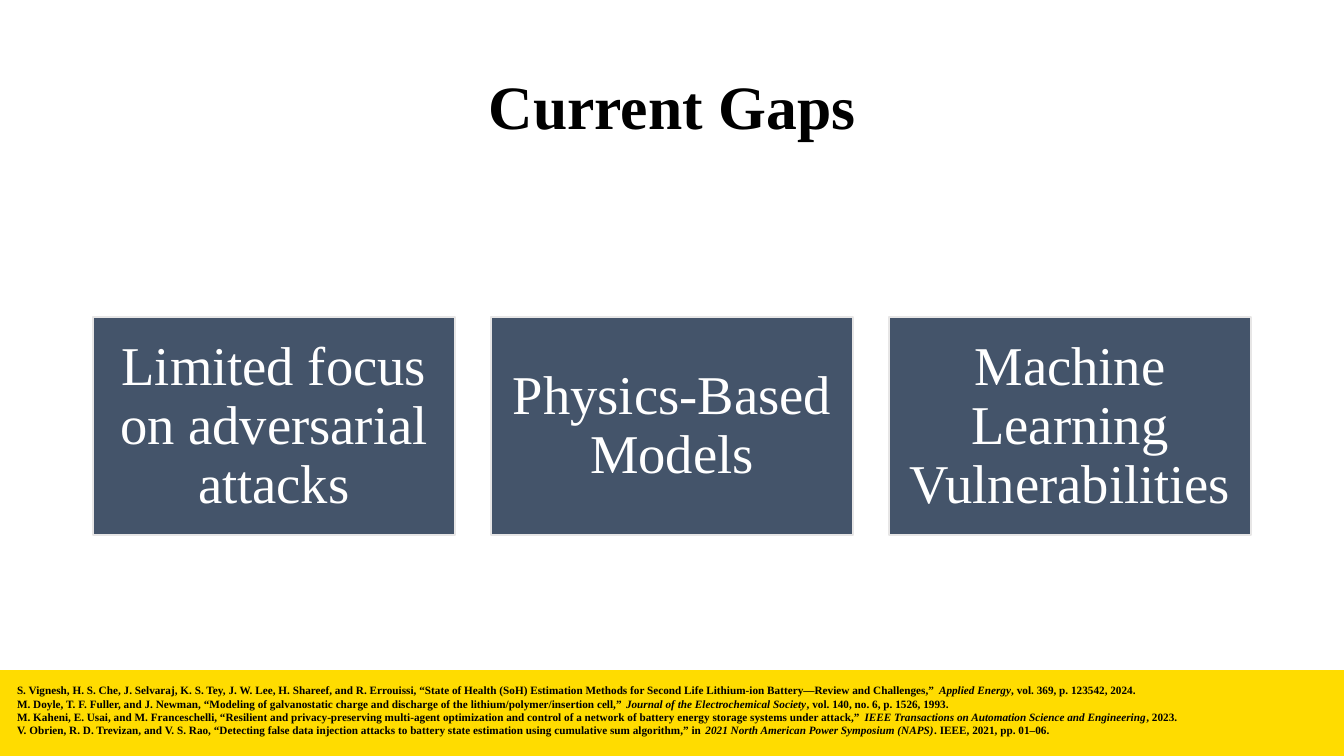
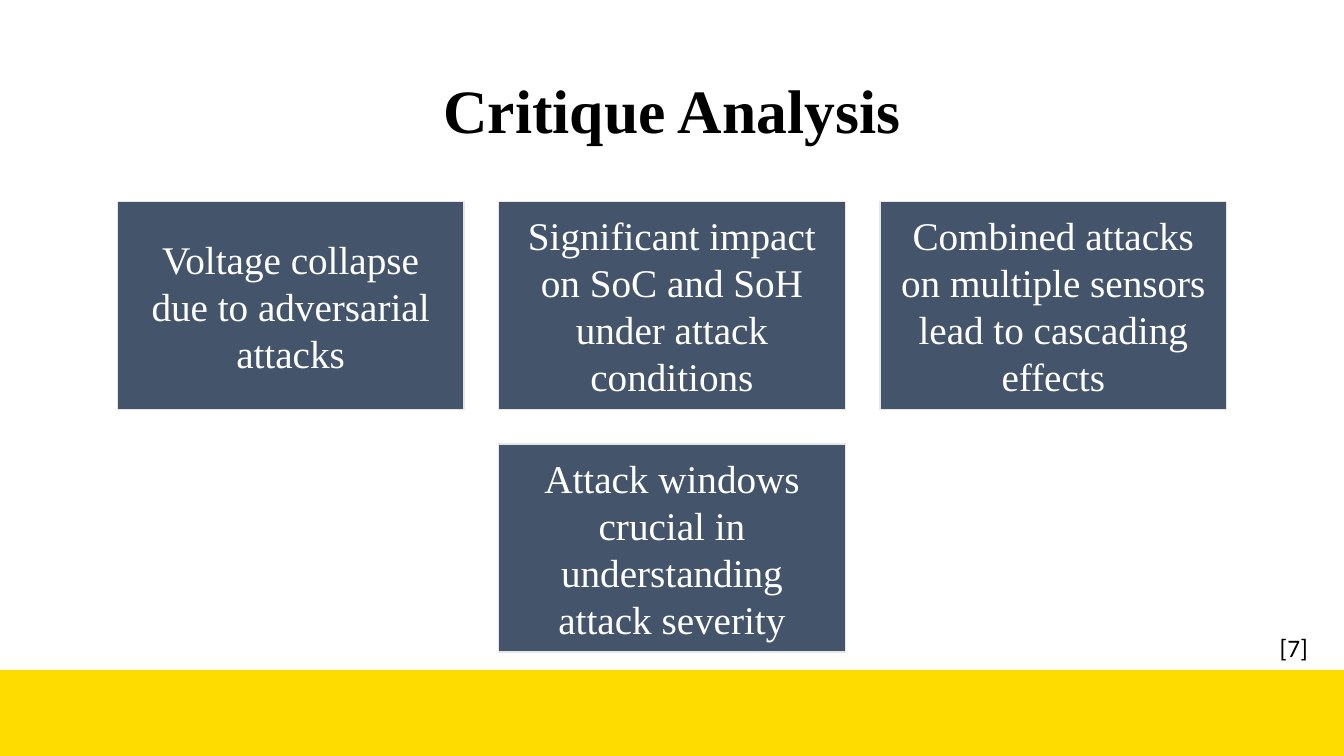
from dataclasses import dataclass

from pptx import Presentation
from pptx.dml.color import RGBColor
from pptx.enum.shapes import MSO_SHAPE
from pptx.enum.text import MSO_ANCHOR, MSO_AUTO_SIZE, PP_ALIGN
from pptx.util import Cm, Pt

# Shared look, lengths in cm
SLIDE_W, SLIDE_H = 33.87, 19.05
BAND_H = 2.16
SERIF, SANS = "Times New Roman", "Calibri"
YELLOW, SLATE, PALE = "FFDC00", "44546A", "E7E6E6"
BLACK, WHITE = "000000", "FFFFFF"


@dataclass
class CardStyle:
    width: float
    height: float
    gap: float
    inset: float
    size: float
    line_width: float
    line_spacing: float


@dataclass
class Reference:
    lead: str
    source: str
    tail: str


GAP_CARDS = CardStyle(9.12, 5.49, 0.91, 0.41, 39, 1.5, 0.9)
CRITIQUE_CARDS = CardStyle(8.74, 5.24, 0.87, 0.3, 28, 1, 1)

GAPS = [["Limited focus on adversarial attacks", "Physics-Based Models",
         "Machine Learning Vulnerabilities"]]
CRITIQUE = [
    ["Voltage collapse due to adversarial attacks",
     "Significant impact on SoC and SoH under attack conditions",
     "Combined attacks on multiple sensors lead to cascading effects"],
    ["Attack windows crucial in understanding attack severity"],
]
REFERENCES = [
    Reference("S. Vignesh, H. S. Che, J. Selvaraj, K. S. Tey, J. W. Lee, H. Shareef, and R. Errouissi, "
              "“State of Health (SoH) Estimation Methods for Second Life Lithium-ion "
              "Battery—Review and Challenges,” ",
              "Applied Energy", ", vol. 369, p. 123542, 2024."),
    Reference("M. Doyle, T. F. Fuller, and J. Newman, “Modeling of galvanostatic charge and "
              "discharge of the lithium/polymer/insertion cell,” ",
              "Journal of the Electrochemical Society", ", vol. 140, no. 6, p. 1526, 1993."),
    Reference("M. Kaheni, E. Usai, and M. Franceschelli, “Resilient and privacy-preserving "
              "multi-agent optimization and control of a network of battery energy storage "
              "systems under attack,” ",
              "IEEE Transactions on Automation Science and Engineering", ", 2023."),
    Reference("V. Obrien, R. D. Trevizan, and V. S. Rao, “Detecting false data injection attacks "
              "to battery state estimation using cumulative sum algorithm,” in ",
              "2021 North American Power Symposium (NAPS)", ". IEEE, 2021, pp. 01–06."),
]


def rgb(value: str) -> RGBColor:
    return RGBColor.from_string(value)


def style_run(r, size: float, color: str, font: str = SERIF,
              bold: bool = False, italic: bool = False) -> None:
    r.font.name, r.font.size = font, Pt(size)
    r.font.bold, r.font.italic = bold, italic
    r.font.color.rgb = rgb(color)


def add_rect(s, left: float, top: float, width: float, height: float, fill: str):
    sp = s.shapes.add_shape(MSO_SHAPE.RECTANGLE, Cm(left), Cm(top), Cm(width), Cm(height))
    sp.shadow.inherit = False
    sp.fill.solid()
    sp.fill.fore_color.rgb = rgb(fill)
    sp.line.fill.background()
    return sp


def add_text_box(s, left: float, top: float, width: float, height: float):
    tf = s.shapes.add_textbox(Cm(left), Cm(top), Cm(width), Cm(height)).text_frame
    tf.word_wrap = True
    return tf


def add_titled_slide(prs, title: str, title_top: float):
    s = prs.slides.add_slide(prs.slide_layouts[5])
    add_rect(s, 0, SLIDE_H - BAND_H, SLIDE_W, BAND_H, YELLOW)
    sp = s.shapes.title
    sp.left, sp.top, sp.width, sp.height = Cm(2.34), Cm(title_top), Cm(29.2), Cm(3.68)
    tf = sp.text_frame
    tf.text = title
    tf.auto_size = MSO_AUTO_SIZE.NONE
    tf.vertical_anchor = MSO_ANCHOR.MIDDLE
    p = tf.paragraphs[0]
    p.alignment, p.line_spacing = PP_ALIGN.CENTER, 0.9
    style_run(p.runs[0], 44, BLACK, bold=True)
    return s


def add_card(s, text: str, left: float, top: float, style: CardStyle) -> None:
    sp = add_rect(s, left, top, style.width, style.height, SLATE)
    sp.line.color.rgb = rgb(PALE)
    sp.line.width = Pt(style.line_width)
    tf = sp.text_frame
    tf.text = text
    tf.word_wrap = True
    tf.vertical_anchor = MSO_ANCHOR.MIDDLE
    tf.margin_left = tf.margin_right = tf.margin_top = tf.margin_bottom = Cm(style.inset)
    p = tf.paragraphs[0]
    p.alignment, p.line_spacing = PP_ALIGN.CENTER, style.line_spacing
    style_run(p.runs[0], style.size, WHITE)


def add_card_rows(s, rows: list[list[str]], top: float, style: CardStyle) -> None:
    """Draw rows of cards, each row centred on the slide."""
    step_x, step_y = style.width + style.gap, style.height + style.gap
    for i, row in enumerate(rows):
        left = (SLIDE_W - len(row) * step_x + style.gap) / 2
        for j, text in enumerate(row):
            add_card(s, text, left + j * step_x, top + i * step_y, style)


def add_references(s, references: list[Reference]) -> None:
    tf = add_text_box(s, 0.18, 17.1, 32, 1.95)
    for i, ref in enumerate(references):
        p = tf.paragraphs[0] if i == 0 else tf.add_paragraph()
        for text in (ref.lead, ref.source, ref.tail):
            r = p.add_run()
            r.text = text
            style_run(r, 8, BLACK, bold=True, italic=text == ref.source)


def main() -> None:
    prs = Presentation()
    prs.slide_width, prs.slide_height = Cm(SLIDE_W), Cm(SLIDE_H)

    # Gaps and their references
    s = add_titled_slide(prs, "Current Gaps", 0.92)
    add_card_rows(s, GAPS, 8, GAP_CARDS)
    add_references(s, REFERENCES)

    # Critique and its citation mark
    s = add_titled_slide(prs, "Critique Analysis", 1.02)
    add_card_rows(s, CRITIQUE, 5.08, CRITIQUE_CARDS)
    tf = add_text_box(s, 32, 15.82, 1.8, 1.02)
    tf.text = "[7]"
    style_run(tf.paragraphs[0].runs[0], 18, BLACK, SANS)

    prs.save("out.pptx")


if __name__ == "__main__":
    main()
